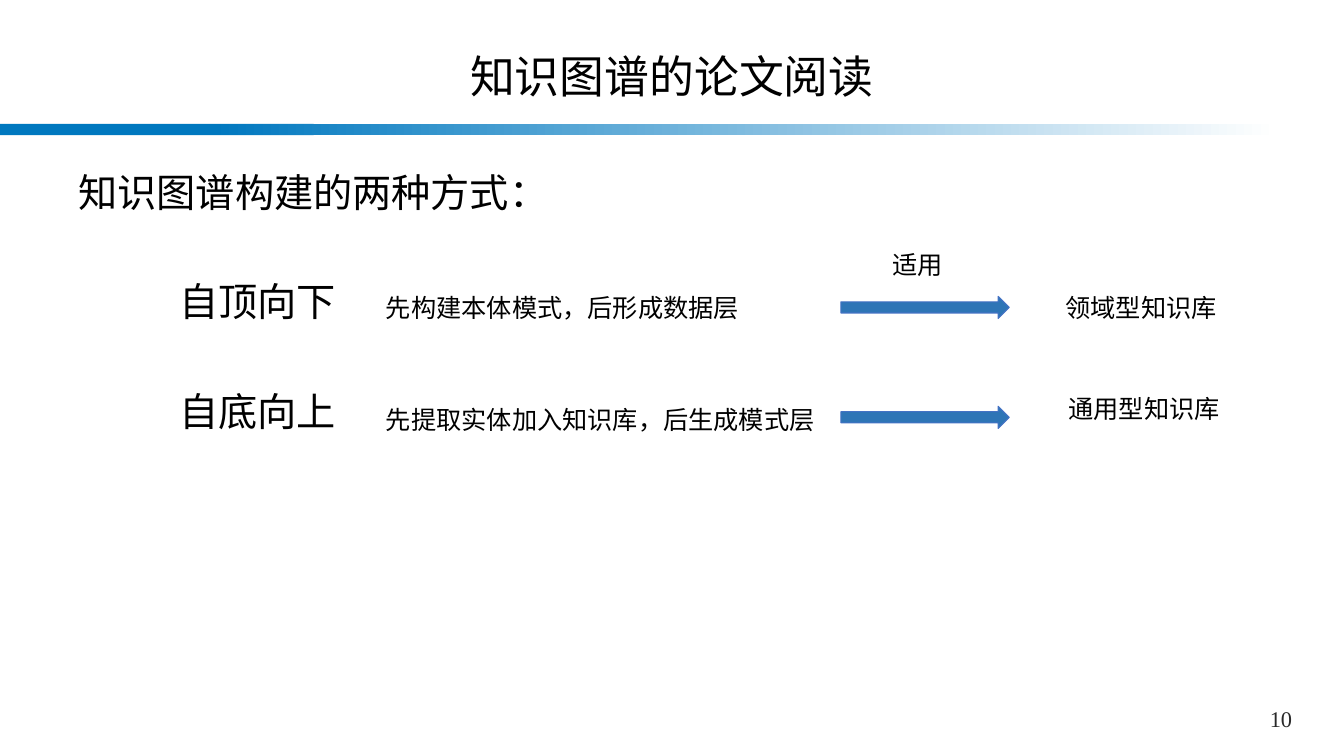
"""Build the slide on two ways of constructing a knowledge graph."""
from dataclasses import dataclass

import pptx
import pptx.dml.color
import pptx.enum.shapes
import pptx.enum.text
import pptx.util

Inches = pptx.util.Inches
Pt = pptx.util.Pt
ALIGN = pptx.enum.text.PP_ALIGN
ANCHOR = pptx.enum.text.MSO_ANCHOR
SHAPE = pptx.enum.shapes.MSO_SHAPE
BLUE = "0078BF"


@dataclass
class Label:
    """Text with its place and style."""
    lines: list[str]
    left: float
    top: float
    width: float
    height: float = 0.4
    size: float = 18
    font: str = "Arial"
    color: str = "000000"
    align: ALIGN = ALIGN.LEFT
    anchor: ANCHOR = ANCHOR.TOP
    gap: float = 0
    indent: float = 0


@dataclass
class Block:
    """Preset shape with its place."""
    kind: SHAPE
    left: float
    top: float
    width: float
    height: float


def rgb(value: str) -> pptx.dml.color.RGBColor:
    """Turn a hex string into a colour."""
    return pptx.dml.color.RGBColor.from_string(value)


def add_label(page: pptx.slide.Slide, label: Label) -> None:
    """Draw a text box; lines after the first are spaced and indented."""
    box = page.shapes.add_textbox(Inches(label.left), Inches(label.top),
                                  Inches(label.width), Inches(label.height))
    frame = box.text_frame
    frame.word_wrap = True
    frame.vertical_anchor = label.anchor
    for index, line in enumerate(label.lines):
        para = frame.add_paragraph() if index else frame.paragraphs[0]
        para.text = line
        para.alignment = label.align
        if index:
            para.space_before = Pt(label.gap)
            para._p.get_or_add_pPr().set("marL", str(Inches(label.indent)))
        para.font.size = Pt(label.size)
        para.font.name = label.font
        para.font.color.rgb = rgb(label.color)


def add_block(page: pptx.slide.Slide, block: Block, fill: str) -> pptx.shapes.autoshape.Shape:
    """Draw a filled shape without outline or shadow."""
    shape = page.shapes.add_shape(block.kind, Inches(block.left), Inches(block.top),
                                  Inches(block.width), Inches(block.height))
    shape.shadow.inherit = False
    shape.fill.solid()
    shape.fill.fore_color.rgb = rgb(fill)
    shape.line.fill.background()
    return shape


def add_banner(page: pptx.slide.Slide) -> None:
    """Draw the rule under the title, fading to white."""
    add_block(page, Block(SHAPE.RECTANGLE, 0, 1.23, 3.11, 0.11), BLUE)
    fade = add_block(page, Block(SHAPE.RECTANGLE, 2.11, 1.23, 10.56, 0.11), BLUE)
    fade.fill.gradient()
    fade.fill.gradient_angle = 0
    for stop, color in zip(fade.fill.gradient_stops, (BLUE, "FFFFFF")):
        stop.color.rgb = rgb(color)


def add_arrow(page: pptx.slide.Slide, top: float) -> None:
    """Draw an arrow from a method to its use."""
    arrow = add_block(page, Block(SHAPE.RIGHT_ARROW, 8.34, top, 1.67, 0.22), "2E75B6")
    arrow.line.color.rgb = rgb("4472C4")
    arrow.line.width = Pt(0.75)


LABELS = [
    Label(["知识图谱的论文阅读"], 1.1, 0.44, 11.13, 0.63, size=32,
          align=ALIGN.CENTER, anchor=ANCHOR.BOTTOM),
    Label(["知识图谱构建的两种方式：", "自顶向下", "自底向上"], 0.68, 1.62, 11.87, 4.8,
          size=28, gap=44.5, indent=1),
    Label(["10"], 12.34, 6.95, 0.73, 0.5, size=16, font="Times New Roman",
          color="292929", align=ALIGN.CENTER),
    Label(["先构建本体模式，后形成数据层"], 3.73, 2.85, 3.95),
    Label(["先提取实体加入知识库，后生成模式层"], 3.73, 3.96, 4.61),
    Label(["适用"], 8.75, 2.42, 1.1),
    Label(["领域型知识库"], 10.47, 2.85, 1.77),
    Label(["通用型知识库"], 10.5, 3.85, 1.77),
]


def main() -> None:
    """Assemble and save the deck."""
    deck = pptx.Presentation()
    deck.slide_width, deck.slide_height = Inches(13.33), Inches(7.5)
    page = deck.slides.add_slide(deck.slide_layouts[6])
    add_banner(page)
    for label in LABELS:
        add_label(page, label)
    for top in (2.94, 4.03):
        add_arrow(page, top)
    deck.save("out.pptx")


if __name__ == "__main__":
    main()
